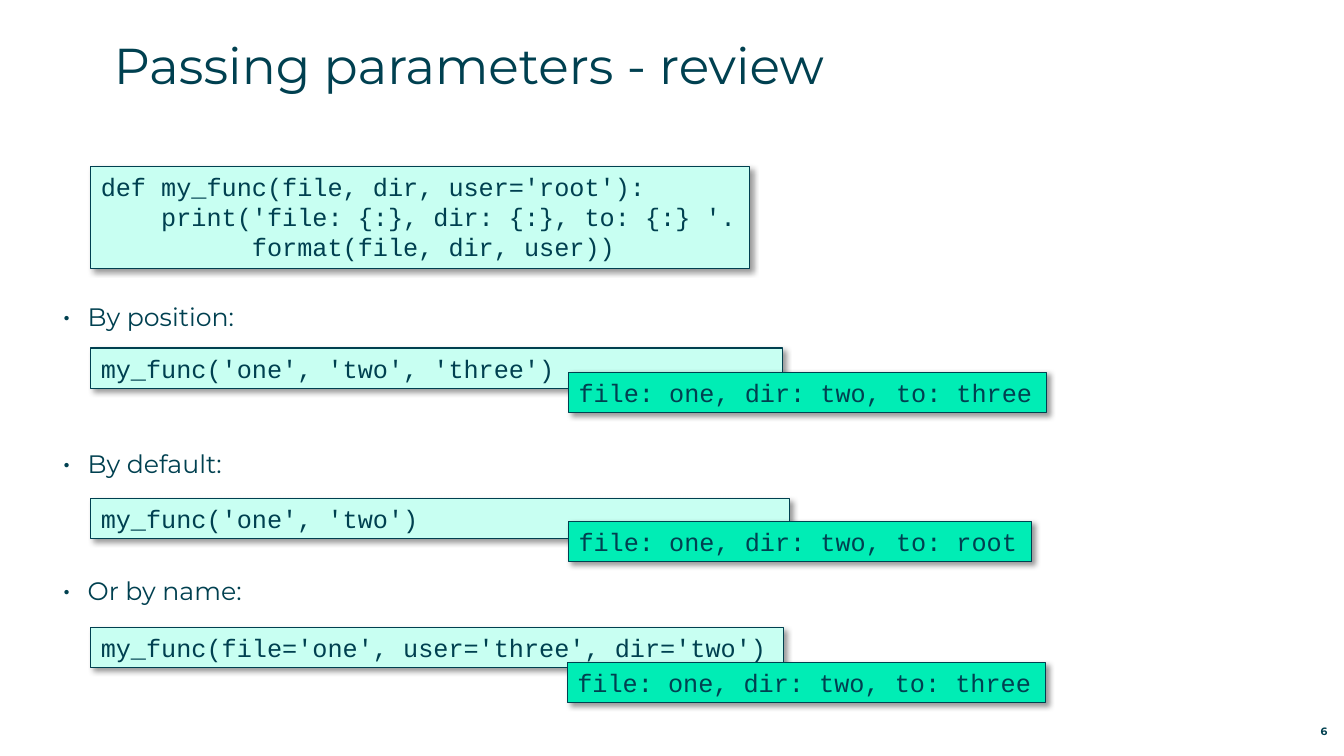
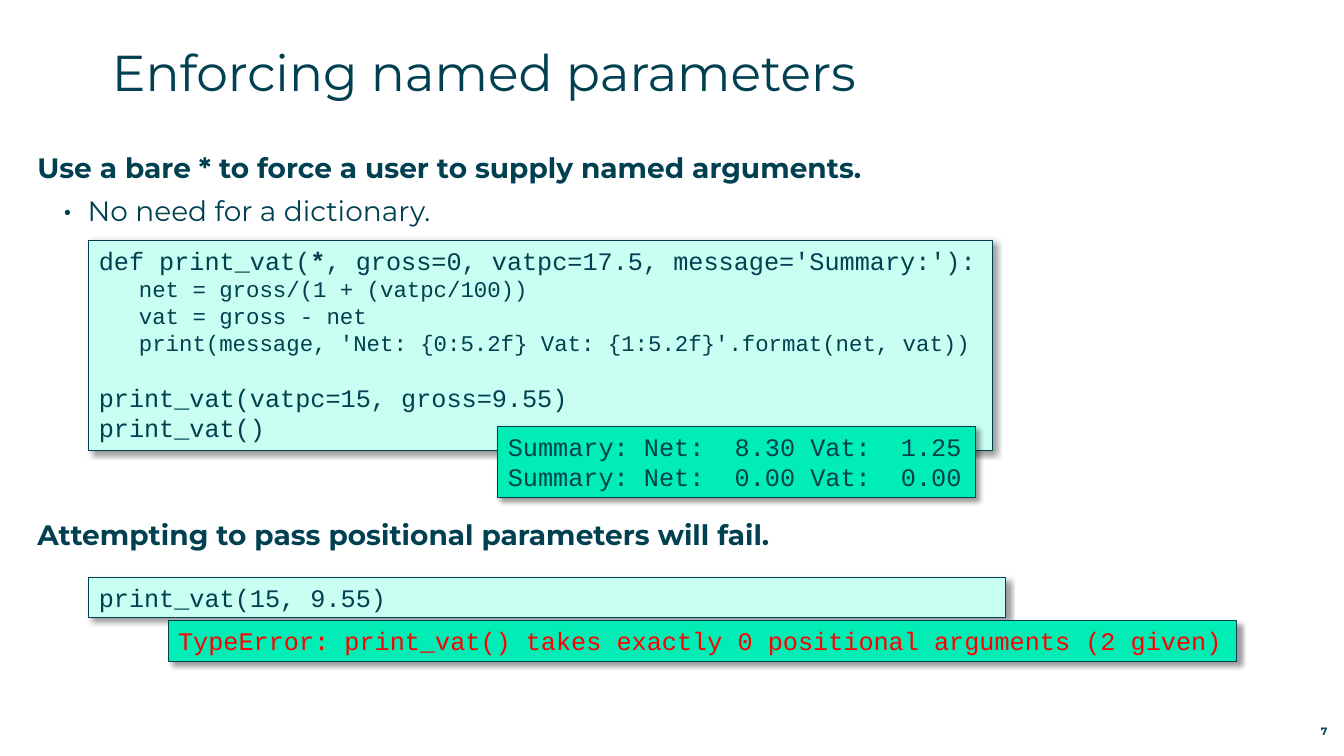
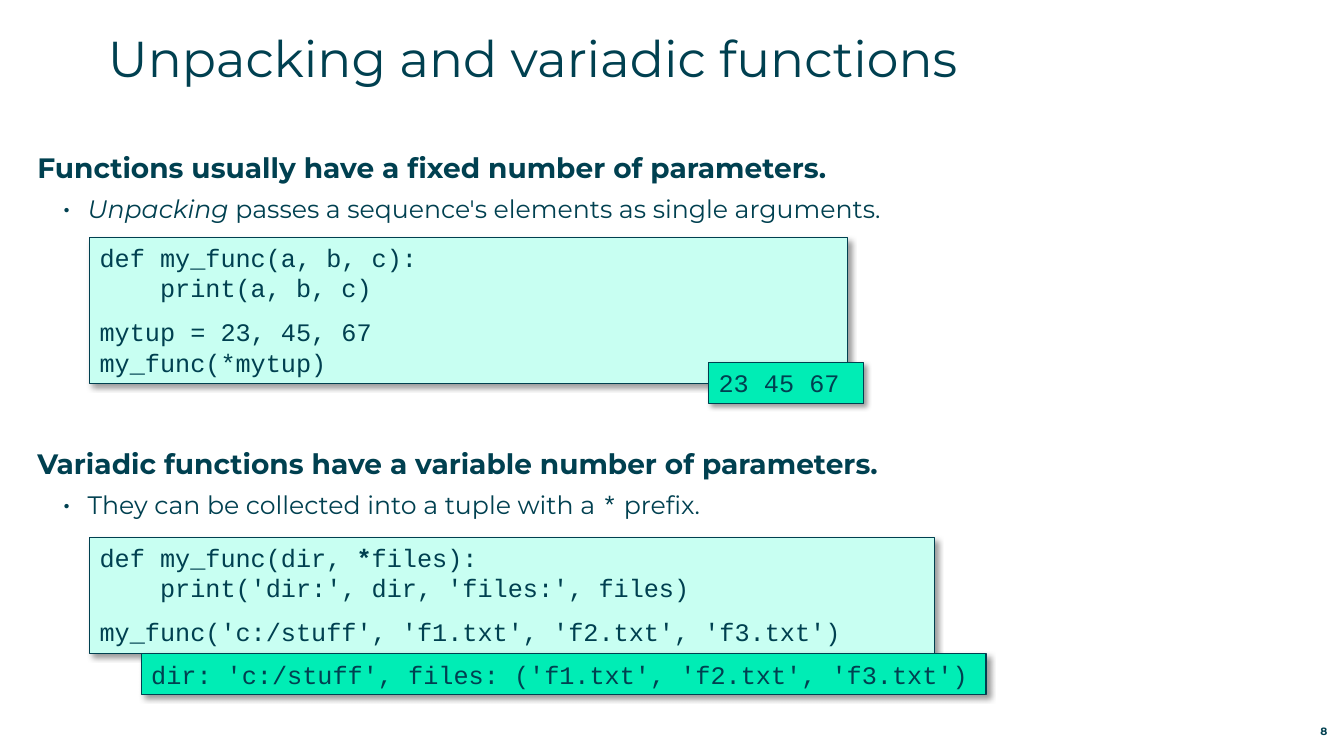
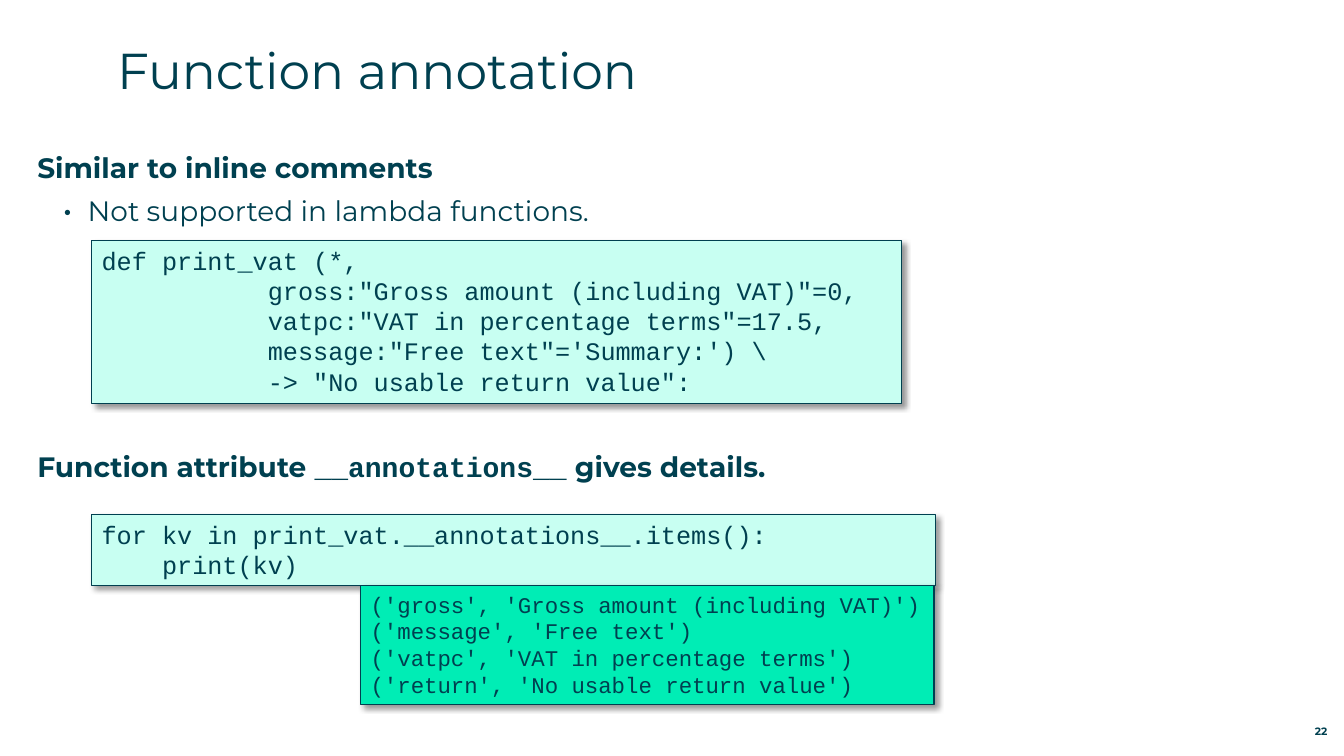
from dataclasses import dataclass

from lxml.etree import SubElement
from pptx import Presentation
from pptx.dml.color import RGBColor
from pptx.enum.shapes import MSO_SHAPE
from pptx.enum.text import MSO_ANCHOR, PP_ALIGN
from pptx.oxml.ns import qn
from pptx.util import Cm, Pt

# Shared style
INK, CODE_FILL, OUTPUT_FILL, ERROR = "004050", "C8FFF2", "00EDB5", "FF0000"
SANS, MONO = "Montserrat", "Courier New"
FIRST_TOP = 3.79
INSET = 0.25
LINE_CM = 1.215 * 2.54 / 72  # height in cm of a code line, per point of size


def rgb(value):
    return RGBColor.from_string(value)


@dataclass
class Run:
    text: str
    bold: bool = False
    italic: bool = False
    font: str = ""


@dataclass
class Line:
    """A line of code: its runs, size and the gap above it in points."""
    runs: tuple
    size: int = 18
    gap: int = 0


def code(*runs, size=18, gap=0):
    return Line(runs, size, gap)


class Deck:
    def __init__(self):
        self.prs = Presentation()
        self.prs.slide_width, self.prs.slide_height = Cm(33.87), Cm(19.05)
        self.s = None

    def add_runs(self, p, runs, size, font=SANS, color=INK, bold=False):
        for item in runs:
            run = item if isinstance(item, Run) else Run(item)
            r = p.add_run()
            r.text = run.text
            r.font.name = run.font or font
            r.font.size = Pt(size)
            r.font.bold = bold or run.bold
            r.font.italic = run.italic
            r.font.color.rgb = rgb(color)

    def text_box(self, left, top, width, height):
        tf = self.s.shapes.add_textbox(Cm(left), Cm(top), Cm(width), Cm(height)).text_frame
        tf.word_wrap = True
        tf.margin_left = tf.margin_right = tf.margin_top = tf.margin_bottom = 0
        return tf

    def slide(self, title, left, top, number):
        self.s = self.prs.slides.add_slide(self.prs.slide_layouts[6])
        tf = self.text_box(left, top, 30, 2.24)
        self.add_runs(tf.paragraphs[0], [title], 36)
        # Page number
        tf = self.text_box(31.27, 18.08, 2.18, 0.51)
        tf.vertical_anchor = MSO_ANCHOR.BOTTOM
        p = tf.paragraphs[0]
        p.alignment = PP_ALIGN.RIGHT
        self.add_runs(p, [str(number)], 7.6, bold=True)

    def body(self, top, heading=(), bullet=(), size=18):
        """A bold heading, a bullet, or one above the other."""
        tf = self.text_box(0.94, top, 31.98, 1.8 if heading and bullet else 0.9)
        p = tf.paragraphs[0]
        if heading:
            p.space_after = Pt(6.5)
            self.add_runs(p, heading, 20, bold=True)
        if bullet:
            if heading:
                p = tf.add_paragraph()
            pPr = p._p.get_or_add_pPr()
            pPr.set("marL", str(Cm(1.27)))
            pPr.set("indent", str(-Cm(0.64)))
            SubElement(pPr, qn("a:buSzPct"), val="125000" if size == 20 else "115000")
            SubElement(pPr, qn("a:buFont"), typeface=SANS)
            SubElement(pPr, qn("a:buChar"), char="•")
            self.add_runs(p, bullet, size)

    def code_box(self, left, top, width, lines, fill=CODE_FILL, color=INK):
        """A shadowed box as high as its lines of code."""
        lines = [x if isinstance(x, Line) else code(x) for x in lines]
        height = INSET + sum(x.size * LINE_CM + x.gap * 2.54 / 72 for x in lines)
        sp = self.s.shapes.add_shape(MSO_SHAPE.RECTANGLE, Cm(left), Cm(top),
                                     Cm(width), Cm(height))
        sp.fill.solid()
        sp.fill.fore_color.rgb = rgb(fill)
        sp.line.color.rgb = rgb(INK)
        sp.line.width = Pt(0.75)
        self.add_shadow(sp)
        tf = sp.text_frame
        tf.word_wrap = True
        tf.vertical_anchor = MSO_ANCHOR.TOP
        for i, line in enumerate(lines):
            p = tf.add_paragraph() if i else tf.paragraphs[0]
            p.alignment = PP_ALIGN.LEFT
            if line.gap:
                p.space_before = Pt(line.gap)
            self.add_runs(p, line.runs, line.size, MONO, color)

    def output(self, left, top, width, lines, color=INK):
        self.code_box(left, top, width, lines, OUTPUT_FILL, color)

    def add_shadow(self, sp):
        sp.shadow.inherit = False
        effects = sp._element.spPr.find(qn("a:effectLst"))
        shadow = SubElement(effects, qn("a:outerShdw"), blurRad=str(Pt(4)), dist=str(Pt(3)),
                            dir=str(45 * 60000), algn="tl", rotWithShape="0")
        black = SubElement(shadow, qn("a:srgbClr"), val="000000")
        SubElement(black, qn("a:alpha"), val="40000")


def main():
    deck = Deck()
    star = Run("*", bold=True)

    # Passing parameters
    deck.slide("Passing parameters - review", 2.87, 0.86, 6)
    deck.code_box(2.29, 4.19, 16.59, [
        "def my_func(file, dir, user='root'):",
        "    print('file: {:}, dir: {:}, to: {:} '.",
        "          format(file, dir, user))",
    ])
    for label, top, call, call_top, call_width, user, out_left, out_top, out_width in (
        ("By position:", 7.59, "'one', 'two', 'three'", 8.77, 17.42,
         "three", 14.33, 9.38, 12.04),
        ("By default:", 11.3, "'one', 'two'", 12.56, 17.6,
         "root", 14.33, 13.13, 11.66),
        ("Or by name:", 14.5, "file='one', user='three', dir='two'", 15.81, 17.45,
         "three", 14.3, 16.69, 12.04),
    ):
        deck.body(top, bullet=[label])
        deck.code_box(2.29, call_top, call_width, [f"my_func({call})"])
        deck.output(out_left, out_top, out_width, [f"file: one, dir: two, to: {user}"])

    # Named parameters
    deck.slide("Enforcing named parameters", 2.82, 1.04, 7)
    deck.body(FIRST_TOP, ["Use a bare * to force a user to supply named arguments."],
              ["No need for a dictionary."], size=20)
    deck.code_box(2.24, 6.05, 22.78, [
        code("def print_vat(", star, ", gross=0, vatpc=17.5, message='Summary:'):"),
        code("   net = gross/(1 + (vatpc/100))", size=16),
        code("   vat = gross - net", size=16),
        code("   print(message, 'Net: {0:5.2f} Vat: {1:5.2f}'.format(net, vat))", size=16),
        code("print_vat(vatpc=15, gross=9.55)", gap=19),
        "print_vat()",
    ])
    deck.output(12.55, 10.74, 12.04, [
        "Summary: Net:  8.30 Vat:  1.25",
        "Summary: Net:  0.00 Vat:  0.00",
    ])
    deck.body(13.03, ["Attempting to pass positional parameters will fail."])
    deck.code_box(2.24, 14.55, 23.09, ["print_vat(15, 9.55)"])
    deck.output(4.24, 15.64, 26.92, [
        "TypeError: print_vat() takes exactly 0 positional arguments (2 given)",
    ], ERROR)

    # Unpacking and variadic functions
    deck.slide("Unpacking and variadic functions", 2.72, 0.69, 8)
    deck.body(FIRST_TOP, ["Functions usually have a fixed number of parameters."],
              [Run("Unpacking", italic=True),
               " passes a sequence's elements as single arguments."])
    deck.code_box(2.26, 5.98, 19.1, [
        "def my_func(a, b, c):",
        "    print(a, b, c)",
        code("mytup = 23, 45, 67", gap=10),
        "my_func(*mytup)",
    ])
    deck.output(17.86, 9.14, 3.91, ["23 45 67"])
    deck.body(11.25, ["Variadic functions have a variable number of parameters."],
              ["They can be collected into a tuple with a ", Run("*", font=MONO), " prefix."])
    deck.code_box(2.26, 13.54, 21.29, [
        code("def my_func(dir, ", star, "files):"),
        "    print('dir:', dir, 'files:', files)",
        code("my_func('c:/stuff', 'f1.txt', 'f2.txt', 'f3.txt')", gap=10),
    ])
    deck.output(3.56, 16.48, 21.29, [
        "dir: 'c:/stuff', files: ('f1.txt', 'f2.txt', 'f3.txt')",
    ])

    # Function annotation
    deck.slide("Function annotation", 2.95, 0.99, 22)
    deck.body(FIRST_TOP, ["Similar to inline comments"],
              ["Not supported in lambda functions."], size=20)
    deck.code_box(2.31, 6.05, 20.42, [
        "def print_vat (*,",
        '           gross:"Gross amount (including VAT)"=0,',
        '           vatpc:"VAT in percentage terms"=17.5,',
        "           message:\"Free text\"='Summary:') \\",
        '           -> "No usable return value":',
    ])
    deck.body(11.32, ["Function attribute ", Run("__annotations__", font=MONO),
                      " gives details."])
    deck.code_box(2.31, 12.96, 21.26, [
        "for kv in print_vat.__annotations__.items():",
        "    print(kv)",
    ])
    deck.output(9.09, 14.76, 14.45, [code(text, size=16) for text in (
        "('gross', 'Gross amount (including VAT)')",
        "('message', 'Free text')",
        "('vatpc', 'VAT in percentage terms')",
        "('return', 'No usable return value')",
    )])

    deck.prs.save("out.pptx")


if __name__ == "__main__":
    main()
